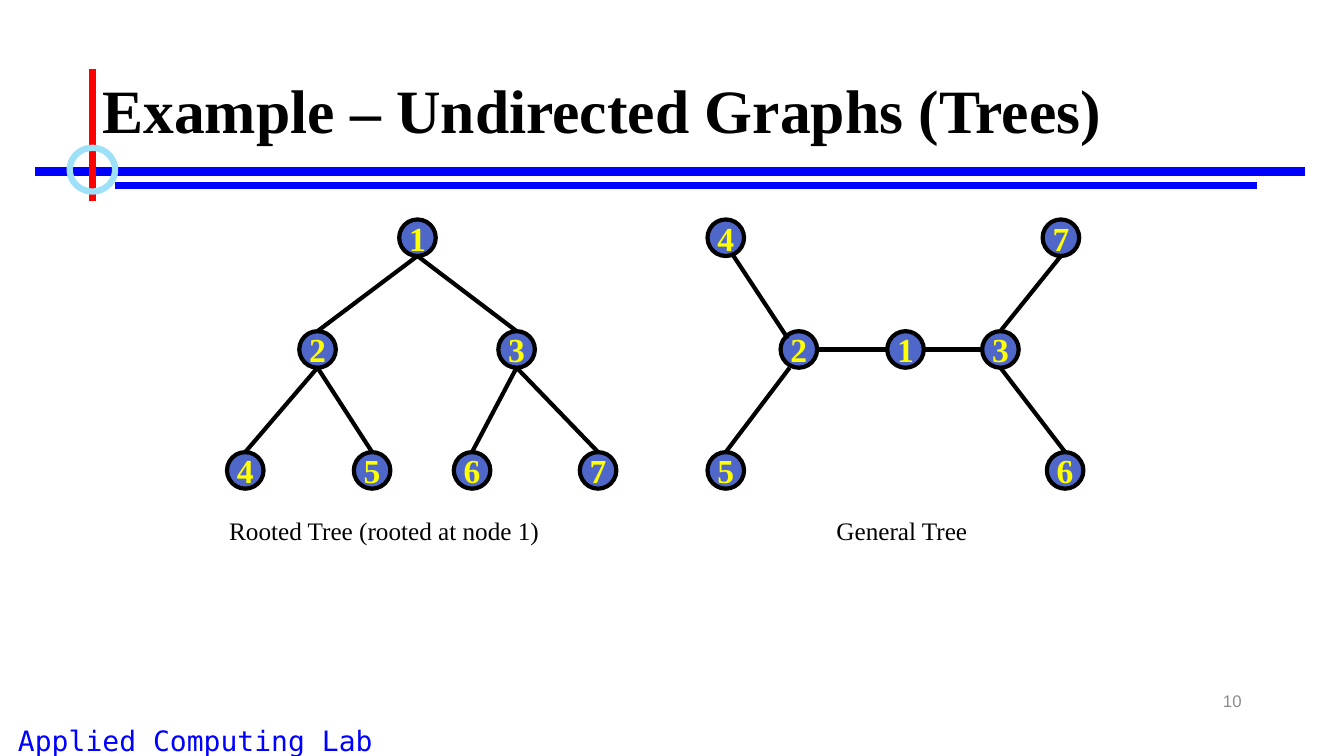
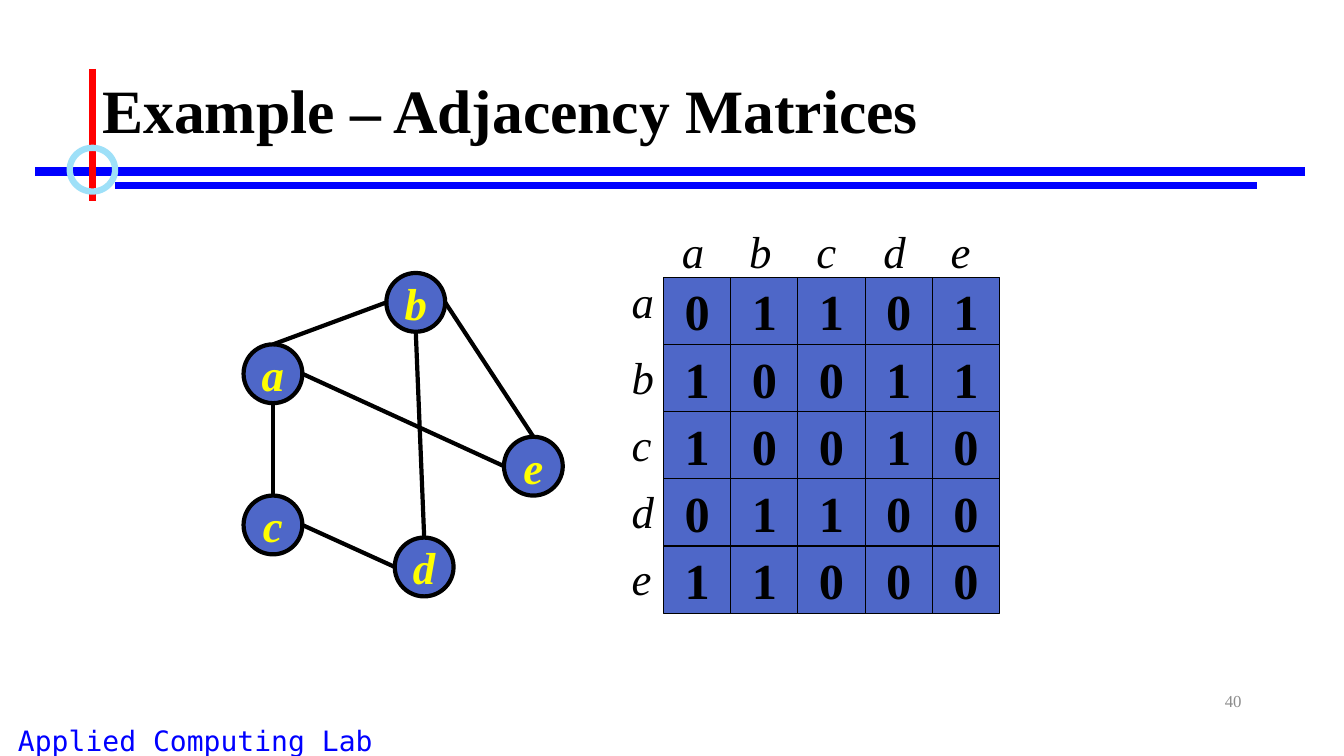
"""Build two slides on graphs: tree examples and an adjacency matrix."""
from lxml import etree
from pptx import Presentation
from pptx.dml.color import RGBColor
from pptx.enum.shapes import MSO_CONNECTOR, MSO_SHAPE
from pptx.enum.text import MSO_ANCHOR, PP_ALIGN
from pptx.oxml.ns import qn
from pptx.util import Inches, Pt

LEFT, CENTER, RIGHT = PP_ALIGN.LEFT, PP_ALIGN.CENTER, PP_ALIGN.RIGHT
TOP, MIDDLE = MSO_ANCHOR.TOP, MSO_ANCHOR.MIDDLE
OVAL, RECT, STRAIGHT = MSO_SHAPE.OVAL, MSO_SHAPE.RECTANGLE, MSO_CONNECTOR.STRAIGHT

BLACK = RGBColor(0x00, 0x00, 0x00)
BLUE = RGBColor(0x00, 0x00, 0xFF)
RED = RGBColor(0xFF, 0x00, 0x00)
SKY = RGBColor(0x9E, 0xE0, 0xF8)
INDIGO = RGBColor(0x4E, 0x67, 0xC8)
YELLOW = RGBColor(0xFF, 0xFF, 0x00)
GRAY = RGBColor(0x8C, 0x8C, 0x8C)

SERIF, SANS, MONO = "Times New Roman", "Arial", "DejaVu Sans Mono"

COLS, ROWS = 160, 90
UNIT = Inches(1) // 12
SIDES = {
    "n": (0.5, 0), "s": (0.5, 1), "w": (0, 0.5), "e": (1, 0.5),
    "nw": (0.2, 0.2), "se": (0.7, 0.98), "sw": (0.25, 1),
}


def grid(*values):
    """Turn grid units into lengths."""
    return [round(v * UNIT) for v in values]


class Deck:
    """Holds the style, the presentation and the current slide."""

    def __init__(self):
        """Start an empty deck of COLS by ROWS grid units."""
        self.prs = Presentation()
        self.prs.slide_width, self.prs.slide_height = grid(COLS, ROWS)
        self.s = None

    def slide(self, title, number, number_font):
        """Add a slide with the shared footer, rules, ring and title."""
        self.s = self.prs.slides.add_slide(self.prs.slide_layouts[6])
        self.text("Applied Computing Lab", (0, 85.6, 46.5, 5.1), 20, BLUE,
                  font=MONO, align=CENTER)
        self.line((4.2, 20.4), (155.4, 20.4), BLUE, 6)
        self.line((13.7, 22.1), (149.6, 22.1), BLUE, 4.5)
        self.line((11, 8.2), (11, 23.9), RED, 4.5)
        self.shape(OVAL, (8.3, 17.6, 5.4, 5.2), SKY, 4.5)
        self.text(title, (11, 4.8, 138, 17.4), 44, anchor=MIDDLE, wrap=True,
                  bold=True, spacing=0.9)
        self.text(number, (113, 81, 36, 4.8), 12, GRAY, font=number_font,
                  align=RIGHT, anchor=MIDDLE, wrap=True)

    def run(self, p, text, size, color=BLACK, font=SERIF, bold=False, italic=False):
        """Add one styled run to a paragraph."""
        r = p.add_run()
        r.text = text
        r.font.size, r.font.name = Pt(size), font
        r.font.bold, r.font.italic = bold, italic
        r.font.color.rgb = color

    def text(self, text, box, size, color=BLACK, align=LEFT, anchor=TOP,
             wrap=False, spacing=None, **style):
        """Add a text box."""
        tf = self.s.shapes.add_textbox(*grid(*box)).text_frame
        tf.word_wrap, tf.vertical_anchor = wrap, anchor
        p = tf.paragraphs[0]
        p.alignment, p.line_spacing = align, spacing
        self.run(p, text, size, color, **style)

    def line(self, start, end, color=BLACK, width=3):
        """Add a straight line between two grid points."""
        c = self.s.shapes.add_connector(STRAIGHT, *grid(*start, *end))
        c.line.color.rgb, c.line.width = color, Pt(width)
        etree.SubElement(c._element.spPr, qn("a:effectLst"))

    def shape(self, kind, box, color, width, fill=None):
        """Add an outlined shape, hollow unless a fill is given."""
        sp = self.s.shapes.add_shape(kind, *grid(*box))
        sp.shadow.inherit = False
        sp.line.color.rgb, sp.line.width = color, Pt(width)
        if fill is None:
            sp.fill.background()
        else:
            sp.fill.solid()
            sp.fill.fore_color.rgb = fill
        return sp

    def labelled(self, kind, label, box, width, size, color, italic=False):
        """Add a filled shape with a bold centred label."""
        tf = self.shape(kind, box, BLACK, width, INDIGO).text_frame
        tf.margin_left = tf.margin_right = tf.margin_top = tf.margin_bottom = 0
        tf.word_wrap, tf.vertical_anchor = False, MIDDLE
        p = tf.paragraphs[0]
        p.alignment = CENTER
        self.run(p, label, size, color, bold=True, italic=italic)

    def graph(self, centers, edges, diameter, size, italic=False):
        """Draw nodes by centre and edges written as node:side node:side."""
        boxes = {}
        for label, (x, y) in centers.items():
            boxes[label] = (x - diameter / 2, y - diameter / 2, diameter, diameter)
            self.labelled(OVAL, label, boxes[label], 3, size, YELLOW, italic)
        for edge in edges:
            points = []
            for end in edge.split():
                label, side = end.split(":")
                x, y, w, h = boxes[label]
                dx, dy = SIDES[side]
                points.append((x + dx * w, y + dy * h))
            self.line(*points)

    def matrix(self, rows, left, top, step):
        """Draw a grid of square cells, one digit in each."""
        for i, digits in enumerate(rows):
            for j, digit in enumerate(digits):
                box = (left + j * step, top + i * step, step, step)
                self.labelled(RECT, digit, box, 0.75, 36, BLACK)


def trees(deck):
    """Build the slide with the rooted and the general tree."""
    deck.slide("Example – Undirected Graphs (Trees)", "10", SANS)
    high, mid, low = 28.3, 41.6, 56
    deck.graph(
        {"1": (49.7, high), "2": (37.8, mid), "3": (61.5, mid), "4": (29.2, low),
         "5": (44.3, low), "6": (56.2, low), "7": (71.2, low)},
        [f"{parent}:s {child}:n" for parent, child in ("12", "13", "24", "25", "36", "37")],
        4.35, 24)
    deck.graph(
        {"1": (107.8, mid), "2": (95.1, mid), "3": (119.1, mid), "4": (86.4, high),
         "5": (86.4, low), "6": (126.8, low), "7": (126.3, high)},
        ["1:w 2:e", "1:e 3:w", "2:nw 4:se", "2:sw 5:n", "3:s 6:n", "3:n 7:s"],
        4.35, 24)
    deck.text("Rooted Tree (rooted at node 1)", (26.1, 60.8, 39.7, 4.8), 18)
    deck.text("General Tree", (98.4, 60.8, 18.1, 4.8), 18)


def adjacency(deck):
    """Build the slide with a graph and its adjacency matrix."""
    deck.slide("Example – Adjacency Matrices", "40", SERIF)
    deck.graph(
        {"a": (32.5, 44.5), "b": (49.5, 36), "c": (32.5, 62.5),
         "d": (50.5, 67.5), "e": (63.5, 55.5)},
        ["a:n b:w", "c:e d:w", "a:s c:n", "b:s d:n", "b:e e:n", "a:e e:w"],
        7, 32, italic=True)
    left, top, step = 79, 33, 8
    deck.matrix(["01101", "10011", "10010", "01100", "11000"], left, top, step)
    for i, label in enumerate("abcde"):
        row_top = top + i * step if i else top - 1
        deck.text(label, (left - 5, row_top, 5.2, 7.7), 32, italic=True)
        deck.text(label, (left + 1 + i * step, top - 7, 5.2, 7.7), 32, italic=True)


def main():
    """Build and save the deck."""
    deck = Deck()
    trees(deck)
    adjacency(deck)
    deck.prs.save("out.pptx")


if __name__ == "__main__":
    main()
